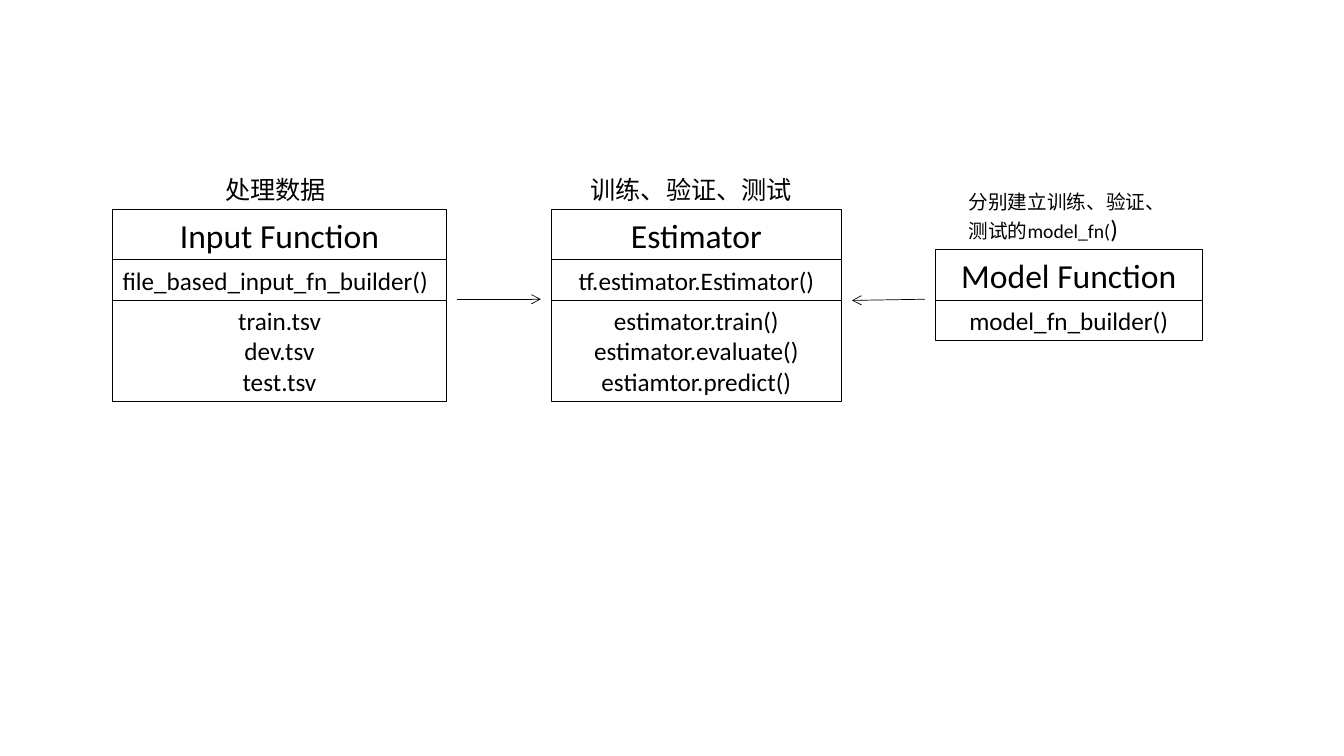
from dataclasses import dataclass

from lxml import etree
from pptx import Presentation
from pptx.dml.color import RGBColor
from pptx.enum.shapes import MSO_CONNECTOR, MSO_SHAPE
from pptx.enum.text import MSO_ANCHOR, PP_ALIGN
from pptx.oxml.ns import qn
from pptx.util import Cm, Pt

LEFT, CENTER = PP_ALIGN.LEFT, PP_ALIGN.CENTER
TOP = MSO_ANCHOR.TOP
RECT = MSO_SHAPE.RECTANGLE
STRAIGHT = MSO_CONNECTOR.STRAIGHT

FONT = "Calibri"
BLACK = "000000"
TITLE_SIZE, BODY_SIZE, NOTE_SIZE = 24, 18, 14
TITLE_H, LINE_H, LIST_H = 1.27, 1.02, 2.56
SPLIT_Y = 7.57
ARROW_Y = 7.54
ARROW_GAP = 0.26


@dataclass
class Run:
    text: str
    size: int = BODY_SIZE


@dataclass
class Row:
    lines: list[Run]
    height: float
    align: int = CENTER


@dataclass
class Caption:
    runs: list[Run]
    left: float
    width: float
    height: float = LINE_H
    align: int = LEFT


@dataclass
class Box:
    left: float
    width: float
    rows: list[Row]
    rows_above_split: int
    caption: Caption

    @property
    def right(self) -> float:
        return self.left + self.width

    @property
    def top(self) -> float:
        return SPLIT_Y - sum(row.height for row in self.rows[:self.rows_above_split])


def title(text: str) -> Row:
    return Row([Run(text, TITLE_SIZE)], TITLE_H)


def call(text: str, align: int = CENTER) -> Row:
    return Row([Run(text)], LINE_H, align)


def listing(*texts: str) -> Row:
    return Row([Run(text) for text in texts], LIST_H)


def rgb(value: str) -> RGBColor:
    return RGBColor.from_string(value)


def fill_text(sp, paragraphs: list[list[Run]], align: int) -> None:
    tf = sp.text_frame
    tf.word_wrap = True
    tf.vertical_anchor = TOP
    for i, runs in enumerate(paragraphs):
        p = tf.add_paragraph() if i else tf.paragraphs[0]
        p.alignment = align
        for run in runs:
            r = p.add_run()
            r.text = run.text
            r.font.name = FONT
            r.font.size = Pt(run.size)
            r.font.color.rgb = rgb(BLACK)


def draw_box(slide, box: Box) -> None:
    group = slide.shapes.add_group_shape()
    top = box.top
    for row in box.rows:
        sp = group.shapes.add_shape(RECT, Cm(box.left), Cm(top), Cm(box.width), Cm(row.height))
        sp.shadow.inherit = False
        sp.fill.background()
        sp.line.color.rgb = rgb(BLACK)
        sp.line.width = Pt(0.75)
        fill_text(sp, [[line] for line in row.lines], row.align)
        top += row.height


def draw_caption(slide, box: Box) -> None:
    c = box.caption
    sp = slide.shapes.add_textbox(Cm(c.left), Cm(box.top - c.height), Cm(c.width), Cm(c.height))
    fill_text(sp, [c.runs], c.align)


def draw_arrow(slide, x1: float, y1: float, x2: float, y2: float) -> None:
    cxn = slide.shapes.add_connector(STRAIGHT, Cm(x1), Cm(y1), Cm(x2), Cm(y2))
    cxn.line.color.rgb = rgb(BLACK)
    cxn.line.width = Pt(0.5)
    etree.SubElement(cxn.line._get_or_add_ln(), qn("a:tailEnd"), type="arrow")
    etree.SubElement(cxn._element.spPr, qn("a:effectLst"))


input_box = Box(
    2.84, 8.41,
    [title("Input Function"),
     call("file_based_input_fn_builder()", LEFT),
     listing("train.tsv", "dev.tsv", "test.tsv")],
    2, Caption([Run("处理数据")], 4.55, 4.8, align=CENTER))
estimator_box = Box(
    13.89, 7.32,
    [title("Estimator"),
     call("tf.estimator.Estimator()"),
     listing("estimator.train()", "estimator.evaluate()", "estiamtor.predict()")],
    2, Caption([Run("训练、验证、测试")], 14.63, 5.84))
model_box = Box(
    23.57, 6.73,
    [title("Model Function"), call("model_fn_builder()")],
    1, Caption([Run("分别建立训练、验证、测试的model_fn(", NOTE_SIZE), Run(")")],
               24.16, 5.13, 1.63))
boxes = [input_box, estimator_box, model_box]

prs = Presentation()
prs.slide_width, prs.slide_height = Cm(33.87), Cm(19.05)
s = prs.slides.add_slide(prs.slide_layouts[6])

for box in boxes:
    draw_box(s, box)
for box in boxes:
    draw_caption(s, box)
draw_arrow(s, input_box.right + ARROW_GAP, ARROW_Y, estimator_box.left - ARROW_GAP, ARROW_Y)
draw_arrow(s, model_box.left - ARROW_GAP, ARROW_Y, estimator_box.right + ARROW_GAP, SPLIT_Y)

prs.save("out.pptx")
